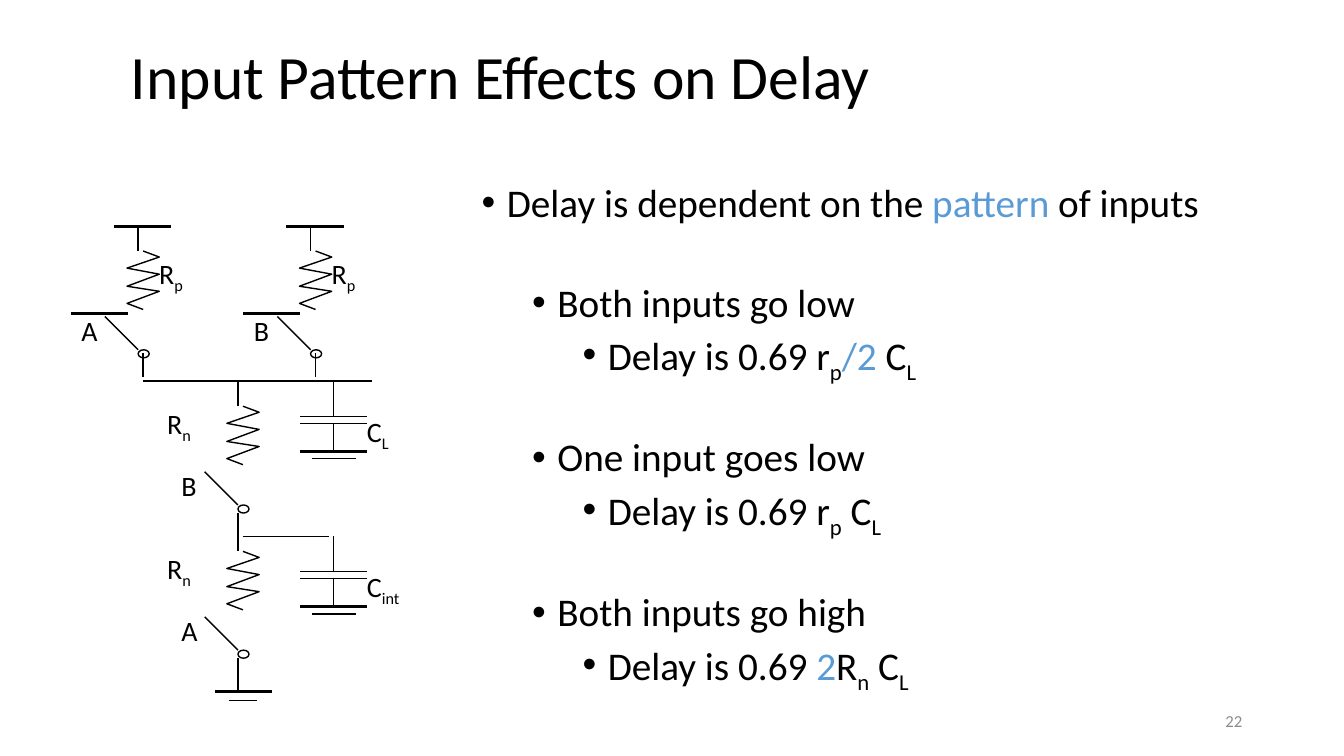
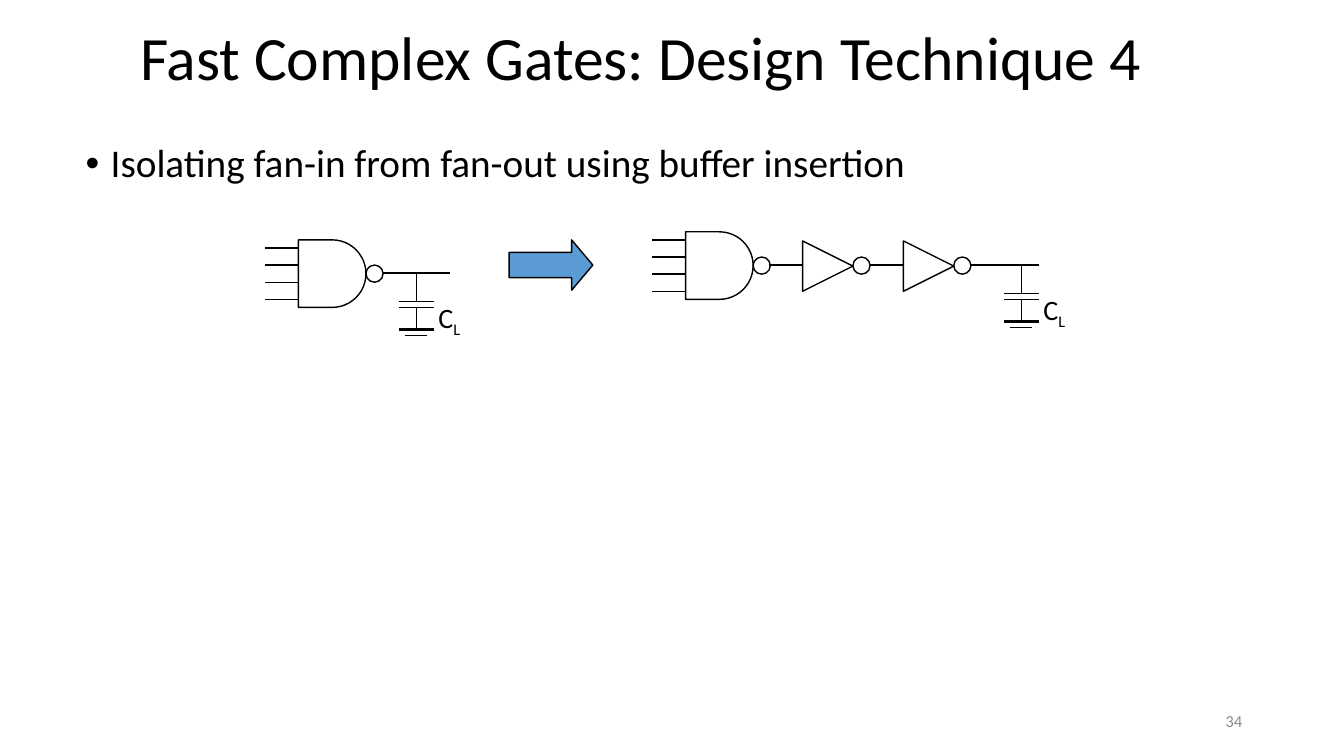
import pptx
import pptx.util
import pptx.dml.color
import pptx.enum.shapes
import pptx.enum.text
import pptx.oxml.ns
from lxml import etree

PX = 9144  # one px is 1/100 inch
FONT = "Calibri"
INK = {"black": "000000", "blue": "5B9BD5", "grey": "8C8C8C"}
SHAPE = pptx.enum.shapes.MSO_SHAPE
STRAIGHT = pptx.enum.shapes.MSO_CONNECTOR.STRAIGHT
MIDDLE = pptx.enum.text.MSO_ANCHOR.MIDDLE
TOP = pptx.enum.text.MSO_ANCHOR.TOP
ALIGN = pptx.enum.text.PP_ALIGN
THIN, THICK = 1, 2.25


def write(page, box, paras, size, anchor=TOP, align=ALIGN.LEFT, lead=1.0):
    """Add a text box; paras holds (level or None, space before, runs), runs (text, style)."""
    frame = page.shapes.add_textbox(*[n * PX for n in box]).text_frame
    frame.word_wrap = True
    frame.vertical_anchor = anchor
    for i, (level, gap, runs) in enumerate(paras):
        para = frame.add_paragraph() if i else frame.paragraphs[0]
        para.alignment = align
        para.line_spacing = lead
        para.space_before = pptx.util.Pt(gap)
        if level is not None:
            props = para._p.get_or_add_pPr()
            props.set("marL", str((25 + 50 * level) * PX))
            props.set("indent", str(-25 * PX))
            font = etree.SubElement(props, pptx.oxml.ns.qn("a:buFont"))
            font.set("typeface", "Arial")
            mark = etree.SubElement(props, pptx.oxml.ns.qn("a:buChar"))
            mark.set("char", "•")
        for text, style in runs:
            run = para.add_run()
            run.text = text
            run.font.name = FONT
            run.font.size = pptx.util.Pt(size)
            run.font.color.rgb = pptx.dml.color.RGBColor.from_string(INK.get(style, INK["black"]))
            if style == "sub":
                run._r.get_or_add_rPr().set("baseline", "-25000")


def outline(shape, fill=None):
    shape.shadow.inherit = False
    if fill:
        shape.fill.solid()
        shape.fill.fore_color.rgb = pptx.dml.color.RGBColor.from_string(INK[fill])
    else:
        shape.fill.background()
    shape.line.color.rgb = pptx.dml.color.RGBColor.from_string(INK["black"])
    shape.line.width = pptx.util.Pt(THIN)


deck = pptx.Presentation()
deck.slide_width, deck.slide_height = 1333 * PX, 750 * PX

# Titles, bullets and page numbers
plain = ""
delay = ("Delay is 0.69 ", plain)
load = [(" C", plain), ("L", "sub")]
pages = []
for title, place, body, bullets, number in [
    ("Input Pattern Effects on Delay", (120, 31, 1100, 95), (468, 177, 803, 508), [
        (0, 0, [("Delay is dependent on the", plain), (" pattern", "blue"), (" of inputs", plain)]),
        (1, 41, [("Both inputs go low", plain)]),
        (2, 5, [delay, ("r", plain), ("p", "sub"), ("/2", "blue")] + load),
        (1, 41, [("One input goes low", plain)]),
        (2, 5, [delay, ("r", plain), ("p", "sub")] + load),
        (1, 41, [("Both inputs go high", plain)]),
        (2, 5, [delay, ("2", "blue"), ("R", plain), ("n", "sub")] + load),
    ], "22"),
    ("Fast Complex Gates: Design Technique 4", (129, 21, 1042, 78), (75, 138, 1150, 90), [
        (0, 0, [("Isolating fan-in from fan-out using buffer insertion", plain)]),
    ], "34"),
]:
    page = deck.slides.add_slide(deck.slide_layouts[6])
    write(page, place, [(None, 0, [(title, plain)])], 44, anchor=MIDDLE, lead=0.9)
    write(page, body, bullets, 28, lead=0.9)
    write(page, (942, 695, 300, 40), [(None, 0, [(number, "grey")])], 12,
          anchor=MIDDLE, align=ALIGN.RIGHT)
    pages.append(page)
first, second = pages

# Wires that stand alone: page, x1, y1, x2, y2, weight
wires = [
    (first, 142, 378, 369, 378, THIN),
    (first, 241, 532, 326, 532, THIN),
    (first, 213, 686, 270, 686, THICK),
    (first, 227, 695, 255, 695, THIN),
    (second, 380, 271, 446, 271, THIN),
    (second, 763, 263, 796, 263, THIN),
    (second, 863, 263, 896, 263, THIN),
    (second, 963, 263, 1030, 263, THIN),
]
labels = []  # page, x, y, letter, subscript
parts = []  # page, kind, x, y, width, height, turn

# Each resistor with the switch below it
zigzag = [(21, 6), (-11, 17), (21, 23), (-11, 35), (21, 40), (-11, 52), (5, 58)]
for x, y, gate, up in [(137, 249, "A", True), (308, 249, "B", True),
                       (236, 403, "B", False), (236, 547, "A", False)]:
    path = first.shapes.build_freeform(x + 5, y, scale=PX)
    path.add_line_segments([(x + dx, y + dy) for dx, dy in zigzag], close=False)
    outline(path.convert_to_shape())
    parts.append((first, SHAPE.OVAL, x, y + 98, 11, 8, 0))
    wires += [(first, x, y - 24, x, y, THIN),
              (first, x - 33, y + 65, x, y + 98, THIN)]
    labels.append((first, x - 66, y + 57, gate, ""))
    if up:
        wires += [(first, x - 24, y - 24, x + 33, y - 24, THICK),
                  (first, x - 67, y + 62, x - 10, y + 62, THICK),
                  (first, x + 5, y + 101, x + 5, y + 125, THIN)]
        labels.append((first, x + 11, y + 1, "R", "p"))
    else:
        wires.append((first, x, y + 106, x, y + 139, THIN))
        labels.append((first, x - 80, y - 5, "R", "n"))

# Each capacitor to ground
for page, x, y, half, ratio, sub in [(first, 331, 378, 33, 1, "L"), (first, 331, 532, 33, 1, "int"),
                                     (second, 413, 271, 17, 0.8, "L"),
                                     (second, 1013, 263, 17, 0.8, "L")]:
    foot = half * 2 // 3
    upper, lower, ground, base = [y + round(n * ratio) for n in (35, 42, 70, 77)]
    wires += [(page, x, y, x, upper, THIN), (page, x, lower, x, ground, THIN)]
    for level, reach, weight in [(upper, half, THIN), (lower, half, THIN),
                                 (ground, half, THICK), (base, foot, THIN)]:
        wires.append((page, x - reach, level, x + reach, level, weight))
    labels.append((page, x + foot + 1, y + round(28 * ratio), "C", sub))

# NAND gates with four inputs, then inverters
for x, y in [(296, 238), (680, 230)]:
    parts += [(second, SHAPE.FLOWCHART_DELAY, x, y, 67, 67, 0),
              (second, SHAPE.OVAL, x + 67, y + 25, 17, 17, 0)]
    for pin in range(4):
        level = y + 8 + 17 * pin
        wires.append((second, x - 33, level, x, level, THIN))
for x in (796, 896):
    parts += [(second, SHAPE.ISOSCELES_TRIANGLE, x, 239, 50, 50, 90),
              (second, SHAPE.OVAL, x + 50, 255, 17, 17, 0)]

# Draw what was gathered
for page, kind, x, y, width, height, turn in parts:
    part = page.shapes.add_shape(kind, x * PX, y * PX, width * PX, height * PX)
    part.rotation = turn
    outline(part)
for page, x1, y1, x2, y2, weight in wires:
    wire = page.shapes.add_connector(STRAIGHT, x1 * PX, y1 * PX, x2 * PX, y2 * PX)
    wire.line.color.rgb = pptx.dml.color.RGBColor.from_string(INK["black"])
    wire.line.width = pptx.util.Pt(weight)
    etree.SubElement(wire._element.spPr, pptx.oxml.ns.qn("a:effectLst"))
for page, x, y, letter, sub in labels:
    runs = [(letter, plain)] + ([(sub, "sub")] if sub else [])
    write(page, (x, y, 80, 54), [(None, 0, runs)], 20)

arrow = second.shapes.add_shape(SHAPE.RIGHT_ARROW, 505 * PX, 238 * PX, 83 * PX, 50 * PX)
arrow.adjustments[1] = 0.42
outline(arrow, "blue")

deck.save("out.pptx")
